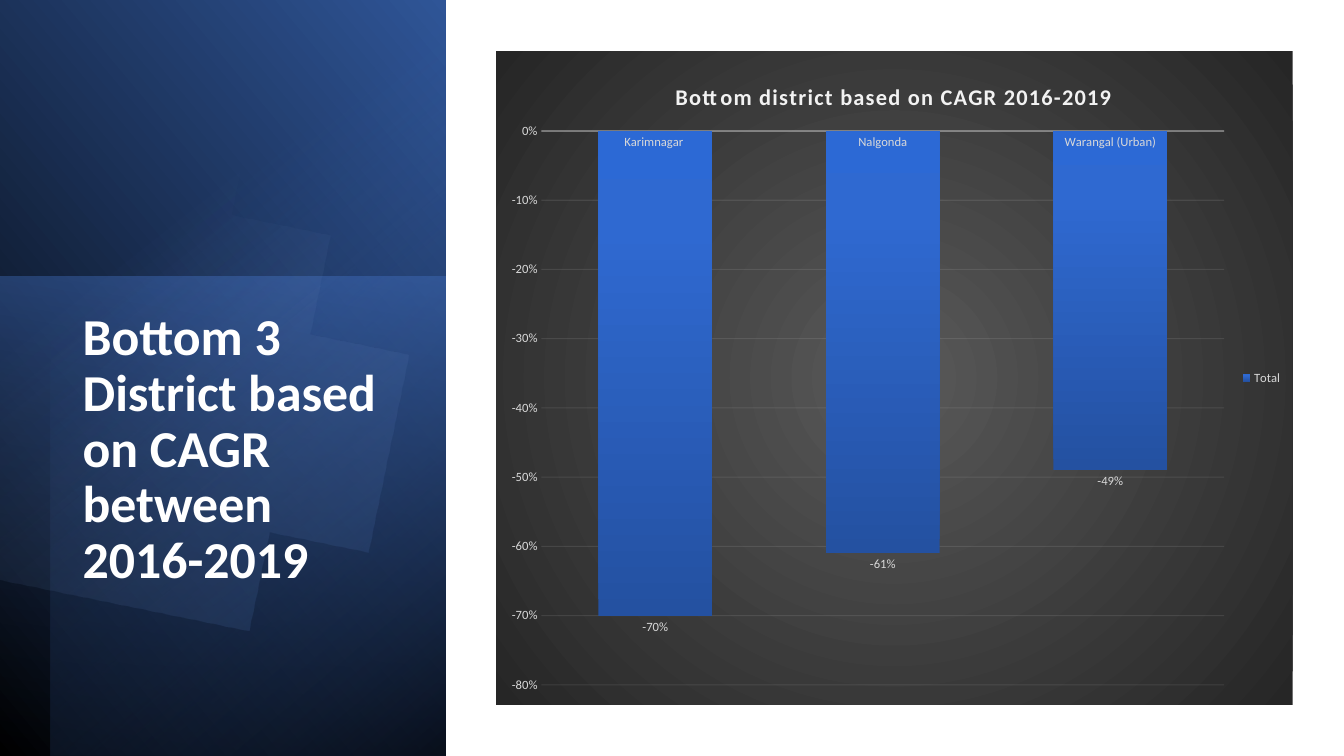
import math

from lxml import etree
from pptx import Presentation
from pptx import util as u
from pptx.chart.data import CategoryChartData
from pptx.dml.color import RGBColor
from pptx.enum import chart as ch, shapes, text
from pptx.oxml import parse_xml
from pptx.oxml.ns import nsdecls, qn

WIDTH, HEIGHT = 13.33, 7.5
FONT = "Calibri"
COLORS = {
    "black": "000000", "white": "FFFFFF", "navy": "203864", "blue": "2F5597",
    "accent": "4472C4", "pale": "8FAADC", "bar_low": "2451A1",
    "bar_mid": "2F69D1", "bar_top": "2C69D5", "gray": "595959",
    "charcoal": "262626", "label": "D9D9D9", "light": "F2F2F2",
}


def rgb(name):
    """Return the named colour."""
    return RGBColor.from_string(COLORS[name])


def gradient(stops, angle=None):
    """Build a linear gradient, or a circular one when no angle is given."""
    marks = "".join(
        f'<a:gs pos="{pos * 1000}"><a:srgbClr val="{COLORS[name]}">'
        f'<a:alpha val="{alpha * 1000}"/></a:srgbClr></a:gs>'
        for pos, name, alpha in stops)
    if angle is None:
        way = ('<a:path path="circle"><a:fillToRect l="50000" t="50000" '
               'r="50000" b="50000"/></a:path>')
    else:
        way = f'<a:lin ang="{angle * 60000}" scaled="0"/>'
    return parse_xml(f'<a:gradFill {nsdecls("a")} rotWithShape="1">'
                     f'<a:gsLst>{marks}</a:gsLst>{way}</a:gradFill>')


def paint(fill, element, stops, angle):
    """Give an element a gradient fill."""
    fill.solid()
    solid = element.find(".//" + qn("a:solidFill"))
    solid.getparent().replace(solid, gradient(stops, angle))


def finish(sp, rotation, stops, angle):
    """Rotate and paint a borderless, shadowless shape."""
    sp.rotation = rotation
    sp.shadow.inherit = False
    sp.line.fill.background()
    paint(sp.fill, sp._element, stops, angle)


def add_panel(slide, box, rotation, flip, stops, angle):
    """Add a gradient rectangle, optionally mirrored."""
    sp = slide.shapes.add_shape(shapes.MSO_SHAPE.RECTANGLE,
                                *(u.Inches(v) for v in box))
    if flip:
        sp._element.spPr.find(qn("a:xfrm")).set("flipH", "1")
    finish(sp, rotation, stops, angle)


def add_cut_disc(slide, left, top, diameter, height, rotation, stops, angle):
    """Add a disc cut off by a chord at the given height."""
    radius = diameter / 2
    start = math.asin((height - radius) / radius)
    steps = 120
    sweep = (math.pi + 2 * start) / steps
    turns = [math.pi - start + i * sweep for i in range(steps + 1)]
    points = [(left + radius + radius * math.cos(t),
               top + radius + radius * math.sin(t)) for t in turns]
    builder = slide.shapes.build_freeform(*points[0], scale=u.Inches(1))
    builder.add_line_segments(points[1:], close=True)
    finish(builder.convert_to_shape(), rotation, stops, angle)


def style_font(font, size, color, bold=False):
    """Set the face, size, colour and weight of a font."""
    font.name, font.size, font.bold = FONT, u.Pt(size), bold
    font.color.rgb = rgb(color)


def set_title(slide, words, box):
    """Place and format the title in front of the panels."""
    sp = slide.shapes.title
    sp.left, sp.top, sp.width, sp.height = (u.Inches(v) for v in box)
    tf = sp.text_frame
    tf.text = words
    tf.word_wrap = True
    tf.auto_size = text.MSO_AUTO_SIZE.NONE
    tf.vertical_anchor = text.MSO_ANCHOR.TOP
    p = tf.paragraphs[0]
    p.alignment = text.PP_ALIGN.LEFT
    p.line_spacing, p.space_before, p.space_after = 0.9, u.Pt(0), u.Pt(6)
    style_font(p.runs[0].font, 37, "white", True)
    slide.shapes._spTree.append(sp._element)


def set_layout(element, **shares):
    """Fix a chart part at shares of the chart's size."""
    for old in element.findall(qn("c:layout")):
        element.remove(old)
    inner = '<c:layoutTarget val="inner"/>' if "w" in shares else ""
    modes = "".join(f'<c:{k}Mode val="edge"/>' for k in "xy")
    sizes = "".join(f'<c:{k} val="{v}"/>' for k, v in shares.items())
    layout = parse_xml(f'<c:layout {nsdecls("c")}><c:manualLayout>{inner}'
                       f'{modes}{sizes}</c:manualLayout></c:layout>')
    rich = element.find(qn("c:tx"))
    if rich is None:
        element.insert(0, layout)
    else:
        rich.addnext(layout)


def style_line(line, width, opacity):
    """Draw a translucent light line."""
    line.width = u.Pt(width)
    line.color.rgb = rgb("light")
    color = line._ln.find(".//" + qn("a:srgbClr"))
    etree.SubElement(color, qn("a:alpha")).set("val", str(opacity * 1000))


def style_axes(chart):
    """Format both axes and the gridlines."""
    category, value = chart.category_axis, chart.value_axis
    for axis in (category, value):
        axis.major_tick_mark = axis.minor_tick_mark = ch.XL_TICK_MARK.NONE
        style_font(axis.tick_labels.font, 9, "label")
    style_line(category.format.line, 1, 54)
    style_line(value.major_gridlines.format.line, 0.75, 10)
    value.format.line.fill.background()
    value.minimum_scale, value.maximum_scale, value.major_unit = -0.8, 0, 0.1
    value.tick_labels.number_format = "0%"
    value.tick_labels.number_format_is_linked = False


def style_bars(plot):
    """Format the columns and their value labels."""
    plot.gap_width, plot.overlap, plot.vary_by_categories = 100, -24, False
    series = plot.series[0]
    series.invert_if_negative = False
    paint(series.format.fill, series._element,
          [(0, "bar_low", 100), (80, "bar_mid", 100), (100, "bar_top", 100)], 270)
    labels = series.data_labels
    labels.show_value = True
    labels.position = ch.XL_LABEL_POSITION.OUTSIDE_END
    labels.number_format, labels.number_format_is_linked = "0%", False
    style_font(labels.font, 9, "label")


def add_growth_chart(slide, box):
    """Add the column chart on its dark background."""
    data = CategoryChartData(number_format="0%")
    data.categories = ["Karimnagar ", "Nalgonda", "Warangal (Urban)"]
    data.add_series("Total", [-0.7, -0.61, -0.49])
    chart = slide.shapes.add_chart(ch.XL_CHART_TYPE.COLUMN_CLUSTERED,
                                   *(u.Inches(v) for v in box), data).chart
    style_font(chart.font, 10, "black")
    tf = chart.chart_title.text_frame
    tf.text = "Bottom district based on CAGR 2016-2019"
    r = tf.paragraphs[0].runs[0]
    style_font(r.font, 16, "light", True)
    r.font._element.set("spc", "100")
    chart.chart_title.include_in_layout = False
    set_layout(chart.chart_title._element, x=0.22, y=0.04)
    chart.has_legend = True
    chart.legend.position = ch.XL_LEGEND_POSITION.RIGHT
    chart.legend.include_in_layout = False
    style_font(chart.legend.font, 9, "label")
    style_axes(chart)
    style_bars(chart.plots[0])
    root = chart._chartSpace
    set_layout(root.chart.plotArea, x=0.057, y=0.122, w=0.857, h=0.848)
    area = parse_xml(f'<c:spPr {nsdecls("c", "a")}><a:ln><a:noFill/></a:ln></c:spPr>')
    area.insert(0, gradient([(0, "gray", 100), (100, "charcoal", 100)]))
    root.chart.addnext(area)


def main():
    """Build the slide and save it."""
    prs = Presentation()
    prs.slide_width, prs.slide_height = u.Inches(WIDTH), u.Inches(HEIGHT)
    slide = prs.slides.add_slide(prs.slide_layouts[5])
    add_panel(slide, (-1.55, 1.55, 7.52, 4.42), 90, True,
              [(0, "black", 100), (100, "blue", 100)], 310)
    add_panel(slide, (-0.17, 2.91, 4.76, 4.42), 270, False,
              [(0, "accent", 50), (100, "navy", 0)], 190)
    add_panel(slide, (-1.29, 1.79, 7.5, 3.92), 270, True,
              [(0, "black", 59), (69, "accent", 0)], 220)
    add_cut_disc(slide, -0.82, 1.31, 5.26, 4.47, 101.6,
                 [(39, "pale", 0), (100, "blue", 26)], 310)
    set_title(slide, "Bottom 3 District based on CAGR between 2016-2019",
              (0.72, 3.03, 3.15, 3.36))
    add_growth_chart(slide, (4.92, 0.51, 7.9, 6.48))
    prs.save("out.pptx")


if __name__ == "__main__":
    main()
